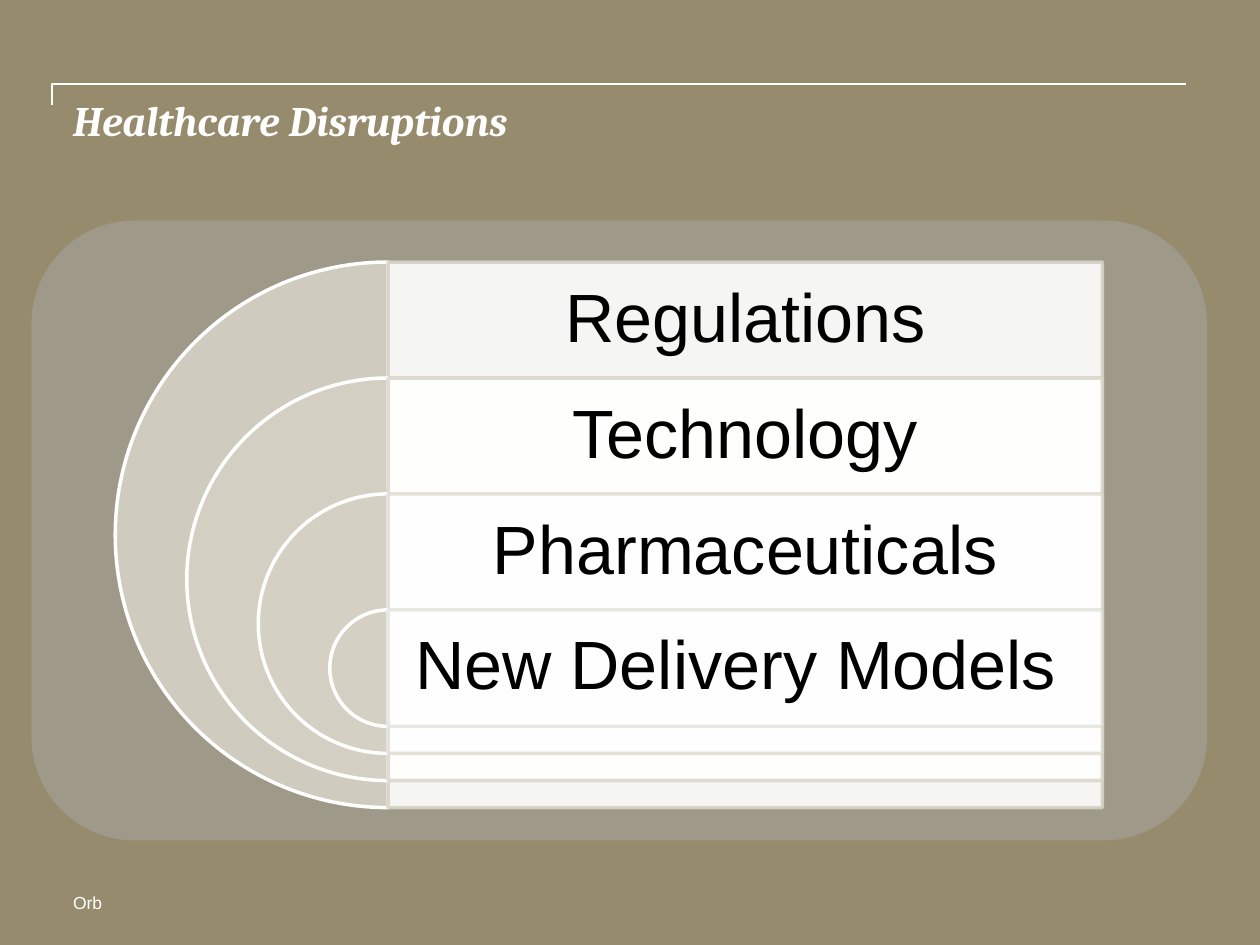
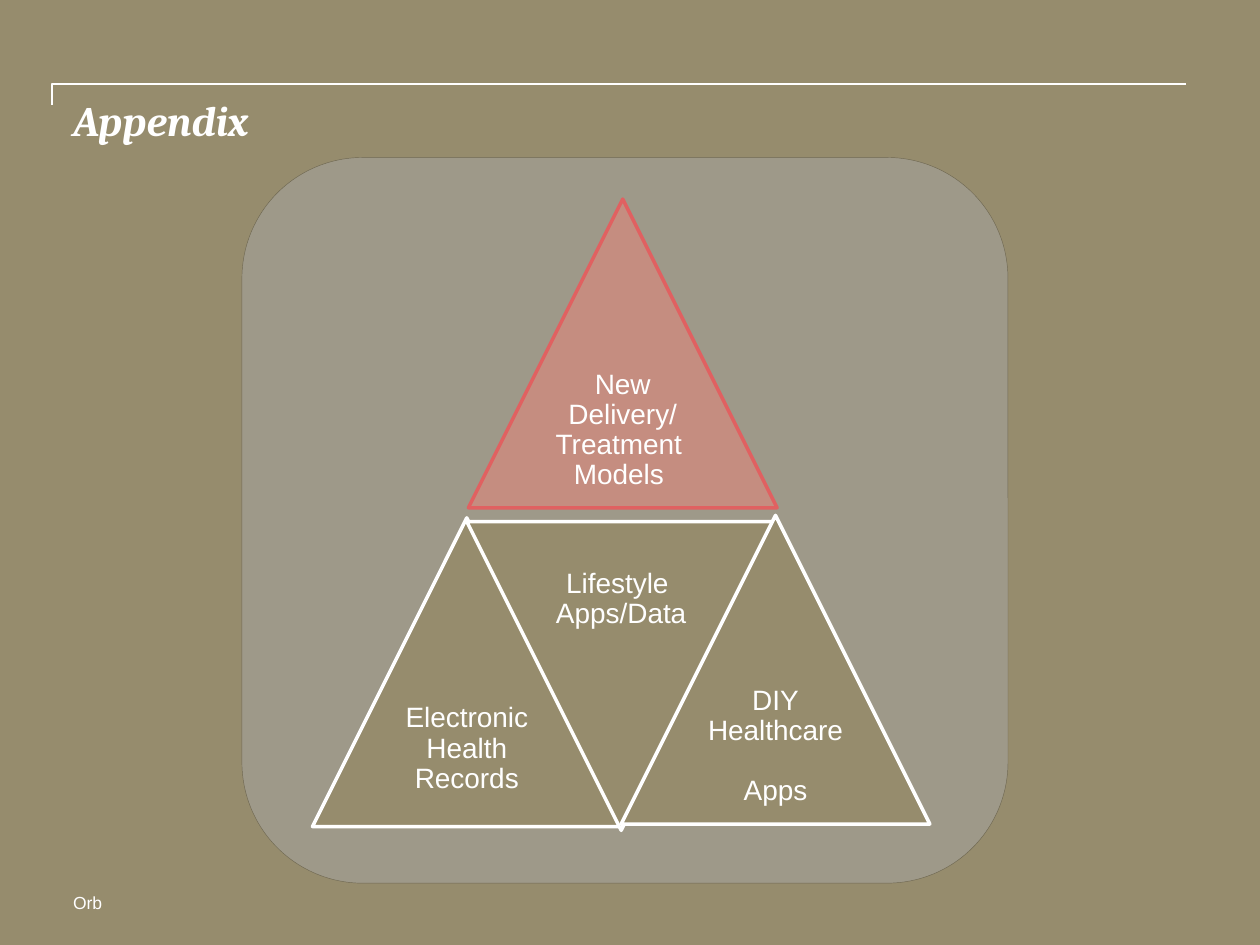
import pptx
import pptx.dml.color
import pptx.enum.shapes
import pptx.enum.text
import pptx.oxml
import pptx.oxml.ns
import pptx.util
from lxml import etree

RGBColor = pptx.dml.color.RGBColor
Inches = pptx.util.Inches
Pt = pptx.util.Pt
SHAPE = pptx.enum.shapes.MSO_SHAPE
ALIGN = pptx.enum.text.PP_ALIGN
ANCHOR = pptx.enum.text.MSO_ANCHOR

OLIVE = RGBColor(0x96, 0x8C, 0x6D)
DARK_OLIVE = RGBColor(0x6F, 0x68, 0x51)
GREY = RGBColor(0xA6, 0xA6, 0xA6)
SAND = RGBColor(0xD5, 0xD1, 0xC5)
PINK = RGBColor(0xED, 0x82, 0x78)
RED = RGBColor(0xE0, 0x61, 0x61)
WHITE = RGBColor(0xFF, 0xFF, 0xFF)
BLACK = RGBColor(0x00, 0x00, 0x00)

FOOTER = "Orb"
DISRUPTIONS_TITLE = "Healthcare Disruptions"
DISRUPTIONS = [  # label, opacity of its half circle
    ("Regulations", 90),
    ("Technology", 77),
    ("Pharmaceuticals", 63),
    ("New Delivery Models ", 50),
]
APPENDIX_TITLE = "Appendix"
# text, column in half triangles, top, points up, (fill, opacity), outline
TRIANGLES = [
    ("Electronic Health\vRecords", 0, 4.11, True, (OLIVE, 100), WHITE),
    ("Lifestyle \vApps/Data", 1, 4.14, False, (OLIVE, 100), WHITE),
    ("DIY\vHealthcare \vApps", 2, 4.09, True, (OLIVE, 100), WHITE),
    ("New Delivery/\vTreatment  Models ", 1.01, 1.58, True, (PINK, 50), RED),
]

SLIDE_WIDTH, SLIDE_HEIGHT = 10, 7.5
MARGIN = 0.58
NEST_LEFT, NEST_TOP = 3.08, 2.08
BAR_WIDTH, BAR_STEP = 5.67, 0.92
CIRCLE_SIZE, CIRCLE_SHRINK = 4.33, 1.135
TRIANGLE_LEFT, TRIANGLE_SIZE = 2.48, 2.45


def set_color(fill, color, opacity=100):
    fill.solid()
    fill.fore_color.rgb = color
    if opacity < 100:
        # The colour element is reached through the fill's own XML parent.
        for node in fill._xPr.findall(pptx.oxml.ns.qn("a:solidFill")):
            alpha = etree.SubElement(node[0], pptx.oxml.ns.qn("a:alpha"))
            alpha.set("val", str(opacity * 1000))


def paint(shape, color, opacity=100, outline=None, weight=2, outline_opacity=100):
    shape.shadow.inherit = False
    set_color(shape.fill, color, opacity)
    if outline is None:
        shape.line.fill.background()
    else:
        shape.line.width = Pt(weight)
        set_color(shape.line.fill, outline, outline_opacity)


def write(shape, text, size, color, insets=(0, 0, 0, 0), font="Arial",
          align=ALIGN.LEFT, anchor=ANCHOR.TOP, spacing=1.0):
    """Fill the shape with one paragraph; insets are left, top, right, bottom."""
    frame = shape.text_frame
    frame.text = text
    frame.word_wrap = True
    frame.auto_size = pptx.enum.text.MSO_AUTO_SIZE.NONE
    frame.vertical_anchor = anchor
    (frame.margin_left, frame.margin_top,
     frame.margin_right, frame.margin_bottom) = map(Inches, insets)
    para = frame.paragraphs[0]
    para.alignment = align
    para.line_spacing = spacing
    para.font.name = font
    para.font.size = Pt(size)
    para.font.color.rgb = color
    return para


def add_box(page, left, top, width, height):
    return page.shapes.add_textbox(*map(Inches, (left, top, width, height)))


def add_preset(page, preset, left, top, width, height):
    return page.shapes.add_shape(preset, *map(Inches, (left, top, width, height)))


def add_corner_line(page):
    """Draw the rule above the title with its short drop at the left."""
    line = page.shapes.add_connector(
        pptx.enum.shapes.MSO_CONNECTOR.ELBOW,
        Inches(5), Inches(5.25), Inches(4.83), Inches(-3.75))
    line.line.width = Pt(1)
    line.line.color.rgb = WHITE
    properties = line._element.spPr
    properties.find(pptx.oxml.ns.qn("a:xfrm")).set("rot", "5400000")
    properties.find(pptx.oxml.ns.qn("a:prstGeom")).set("prst", "bentConnector2")
    etree.SubElement(properties, pptx.oxml.ns.qn("a:effectLst"))


def add_page(deck, title):
    page = deck.slides.add_slide(deck.slide_layouts[5])
    write(add_box(page, MARGIN, 7.08, 2.83, 0.17), FOOTER, 10, WHITE)
    add_corner_line(page)
    heading = page.shapes.title
    heading.left, heading.top = Inches(MARGIN), Inches(0.75)
    heading.width, heading.height = Inches(8.83), Inches(1)
    para = write(heading, title, 24, WHITE, font="Cambria")
    para.font.bold = para.font.italic = True
    return page


def add_disruptions(deck):
    page = add_page(deck, DISRUPTIONS_TITLE)
    paint(add_preset(page, SHAPE.ROUNDED_RECTANGLE, 0.25, 1.75, 9.33, 4.92), GREY, 50)
    for level, (label, opacity) in enumerate(DISRUPTIONS):
        top = NEST_TOP + level * BAR_STEP
        size = CIRCLE_SIZE - level * CIRCLE_SHRINK
        half_circle = add_preset(page, SHAPE.PIE, NEST_LEFT - size / 2, top, size, size)
        half_circle.adjustments[0] = 54
        half_circle.adjustments[1] = 162
        paint(half_circle, SAND, opacity, WHITE)
        bar = add_preset(page, SHAPE.RECTANGLE, NEST_LEFT, top, BAR_WIDTH, size)
        paint(bar, WHITE, 90, SAND, outline_opacity=opacity)
        write(add_box(page, NEST_LEFT, top, BAR_WIDTH, BAR_STEP), label, 39, BLACK,
              (0.16,) * 4, align=ALIGN.CENTER, anchor=ANCHOR.MIDDLE, spacing=0.9)


def add_triangle(page, left, top, points_up):
    bottom = top + TRIANGLE_SIZE
    base, tip = (bottom, top) if points_up else (top, bottom)
    corners = [(left, base), (left + TRIANGLE_SIZE / 2, tip), (left + TRIANGLE_SIZE, base)]
    points = [(Inches(x), Inches(y)) for x, y in corners]
    builder = page.shapes.build_freeform(*points[0])
    builder.add_line_segments(points[1:], close=True)
    return builder.convert_to_shape()


def add_appendix(deck):
    page = add_page(deck, APPENDIX_TITLE)
    panel = add_preset(page, SHAPE.ROUNDED_RECTANGLE, 1.92, 1.25, 6.08, 5.76)
    paint(panel, GREY, 50, DARK_OLIVE, 0.25)
    for text, column, top, points_up, fill, outline in TRIANGLES:
        left = TRIANGLE_LEFT + column * TRIANGLE_SIZE / 2
        triangle = add_triangle(page, left, top, points_up)
        paint(triangle, *fill, outline)
        insets = (0.68, 1.29, 0.68, 0.07) if points_up else (0.68, 0.07, 0.68, 1.29)
        write(triangle, text, 16, WHITE, insets,
              align=ALIGN.CENTER, anchor=ANCHOR.MIDDLE, spacing=0.9)


def main():
    deck = pptx.Presentation()
    deck.slide_width, deck.slide_height = Inches(SLIDE_WIDTH), Inches(SLIDE_HEIGHT)
    set_color(deck.slide_master.background.fill, OLIVE)
    add_disruptions(deck)
    add_appendix(deck)
    deck.save("out.pptx")


if __name__ == "__main__":
    main()
